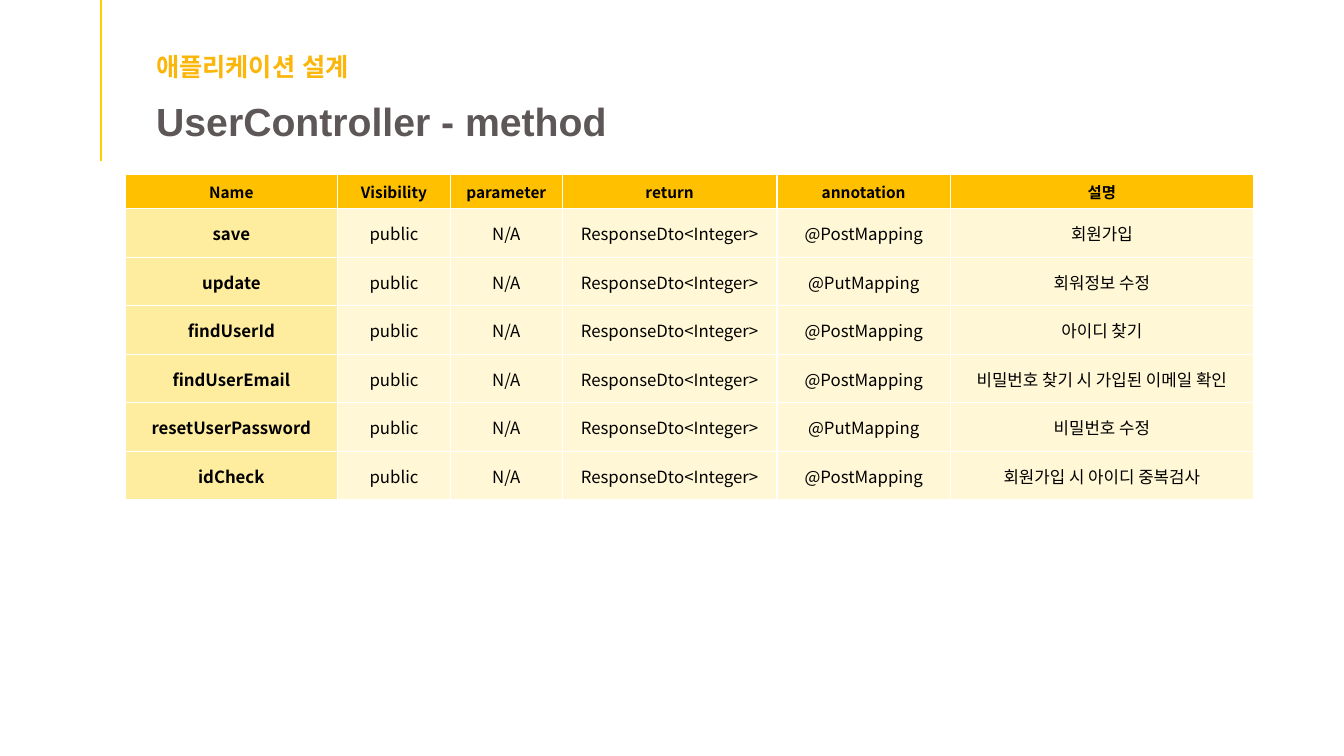
from lxml import etree
from pptx import Presentation
from pptx import util as u
from pptx.dml.color import RGBColor
from pptx.enum import shapes, text
from pptx.oxml.ns import qn


def rgb(value):
    """Turn a hex string into a colour."""
    return RGBColor.from_string(value)


class Deck:
    """Holds the style and the current slide; lengths are percent of its size."""

    title_font, body_font = "Arial", "Noto Sans CJK KR"
    accent, heading, ink, white = "FFCF01", "5D5757", "000000", "FFFFFF"
    kicker, head_fill, name_fill, cell_fill = "FBB609", "FFC000", "FFED9F", "FFF7D5"

    def __init__(self):
        """Open a presentation with one blank slide."""
        self.prs = Presentation()
        self.prs.slide_width, self.prs.slide_height = u.Inches(13.33), u.Inches(7.5)
        self.s = self.prs.slides.add_slide(self.prs.slide_layouts[6])

    def x(self, share):
        """Give a share of the slide's width."""
        return int(self.prs.slide_width * share / 100)

    def y(self, share):
        """Give a share of the slide's height."""
        return int(self.prs.slide_height * share / 100)

    def run(self, p, words, size, color, font, bold):
        """Add one styled run."""
        r = p.add_run()
        r.text = words
        f = r.font
        f.name, f.size, f.bold = font, u.Pt(size), bold
        f.color.rgb = rgb(color)
        etree.SubElement(r._r.get_or_add_rPr(), qn("a:ea"), typeface=font)

    def line(self, x1, y1, x2, y2, width):
        """Draw a straight accent line."""
        c = self.s.shapes.add_connector(
            shapes.MSO_CONNECTOR.STRAIGHT, self.x(x1), self.y(y1), self.x(x2), self.y(y2))
        c.line.color.rgb = rgb(self.accent)
        c.line.width = u.Pt(width)
        etree.SubElement(c._element.spPr, qn("a:effectLst"))

    def title(self, x, y, w, h, words, size, color):
        """Place a bold line of text."""
        sp = self.s.shapes.add_textbox(self.x(x), self.y(y), self.x(w), self.y(h))
        tf = sp.text_frame
        tf.word_wrap = True
        tf.auto_size = text.MSO_AUTO_SIZE.SHAPE_TO_FIT_TEXT
        self.run(tf.paragraphs[0], words, size, color, self.title_font, True)

    def cell(self, cell, words, size, bold, fill):
        """Fill, border and write one table cell."""
        tc_pr = cell._tc.get_or_add_tcPr()
        for side in ("lnL", "lnR", "lnT", "lnB"):
            ln = etree.SubElement(tc_pr, qn(f"a:{side}"), w=str(u.Pt(1)))
            solid = etree.SubElement(ln, qn("a:solidFill"))
            etree.SubElement(solid, qn("a:srgbClr"), val=self.white)
        cell.fill.solid()
        cell.fill.fore_color.rgb = rgb(fill)
        cell.margin_left = cell.margin_right = cell.margin_top = u.Inches(0.01)
        cell.margin_bottom = 0
        cell.vertical_anchor = text.MSO_ANCHOR.MIDDLE
        p = cell.text_frame.paragraphs[0]
        p.alignment = text.PP_ALIGN.CENTER
        self.run(p, words, size, self.ink, self.body_font, bold)

    def table(self, x, y, widths, head_height, row_height, rows):
        """Place a table with a header row and a name column."""
        heights = [head_height] + [row_height] * (len(rows) - 1)
        table = self.s.shapes.add_table(
            len(rows), len(widths), self.x(x), self.y(y),
            self.x(sum(widths)), self.y(sum(heights))).table
        for col, width in zip(table.columns, widths):
            col.width = self.x(width)
        for i, (row, height) in enumerate(zip(rows, heights)):
            table.rows[i].height = self.y(height)
            for j, words in enumerate(row):
                fill = self.head_fill if i == 0 else self.name_fill if j == 0 else self.cell_fill
                self.cell(table.cell(i, j), words, 12 if i else 11, i == 0 or j == 0, fill)


def main():
    """Build the method overview slide."""
    header = ("Name", "Visibility", "parameter", "return", "annotation", "설명")
    methods = [
        ("save", "Post", "회원가입"),
        ("update", "Put", "회워정보 수정"),
        ("findUserId", "Post", "아이디 찾기"),
        ("findUserEmail", "Post", "비밀번호 찾기 시 가입된 이메일 확인"),
        ("resetUserPassword", "Put", "비밀번호 수정"),
        ("idCheck", "Post", "회원가입 시 아이디 중복검사"),
    ]
    rows = [header] + [
        (name, "public", "N/A", "ResponseDto<Integer>", f"@{verb}Mapping", note)
        for name, verb, note in methods]
    deck = Deck()
    deck.line(7.5, 0, 7.5, 21.33, 1.5)
    deck.title(10.88, 6.13, 41.33, 5.33, "애플리케이션 설계", 18, deck.kicker)
    deck.title(10.88, 12.27, 50, 7.6, "UserController - method", 28, deck.heading)
    deck.table(9.3, 23.1, [15.83, 8.38, 8.33, 15.98, 12.9, 22.55], 4.5, 6.42, rows)
    deck.prs.save("out.pptx")


if __name__ == "__main__":
    main()
